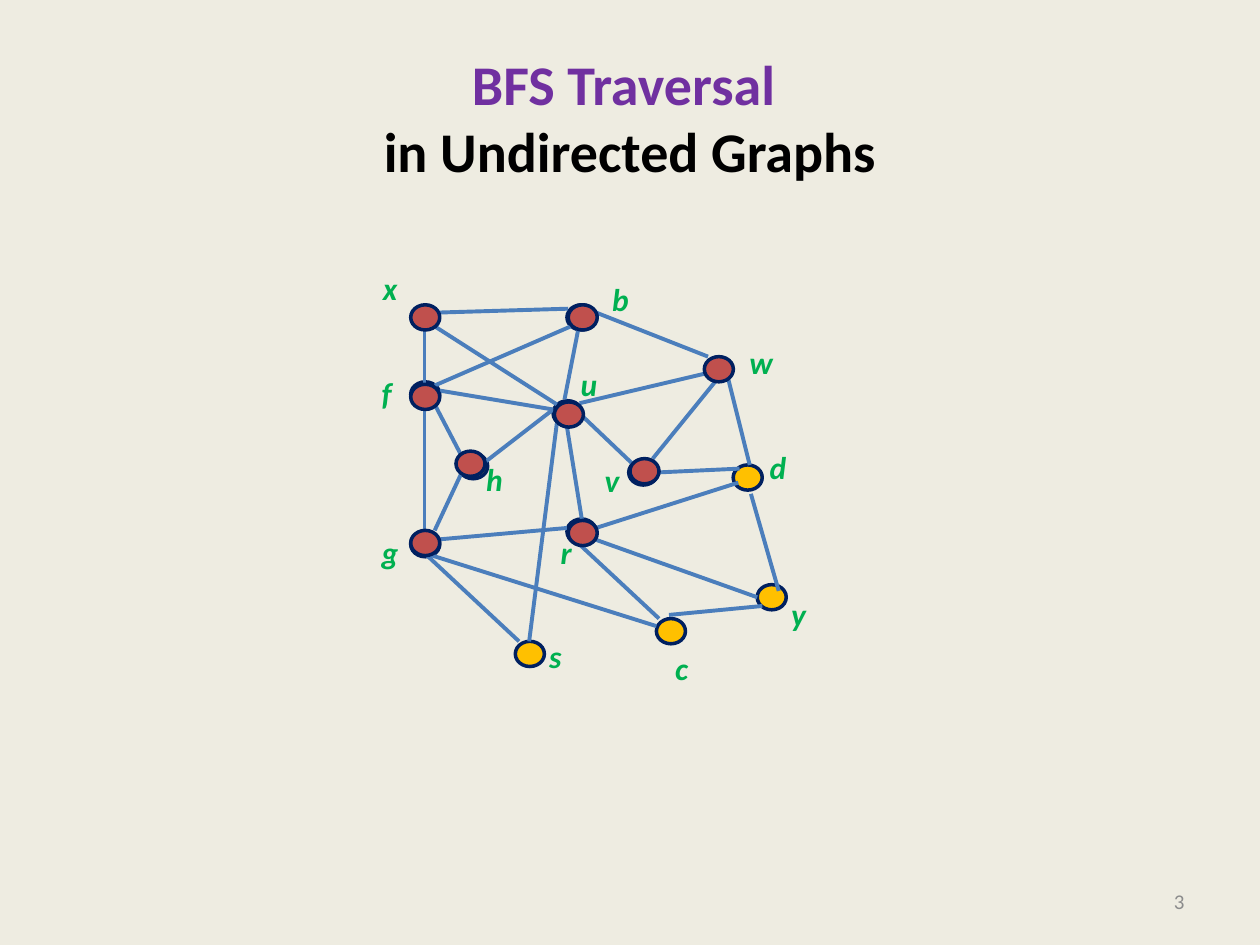
import pptx
import pptx.dml.color
import pptx.enum.shapes
import pptx.enum.text
import pptx.oxml.ns
import pptx.util
from lxml import etree

Pt = pptx.util.Pt
ALIGN = pptx.enum.text.PP_ALIGN
SHAPE = pptx.enum.shapes.MSO_SHAPE
STRAIGHT = pptx.enum.shapes.MSO_CONNECTOR.STRAIGHT

NODE_W, NODE_H = 16.6, 14.4
LABEL_H = 29
LABEL_FORMAT = {"name": "Calibri", "size": Pt(18), "bold": True, "italic": True}
TITLE_FORMAT = {"name": "Calibri", "size": Pt(32), "bold": True}
NUMBER_FORMAT = {"name": "Calibri", "size": Pt(12)}

# All graph positions are points from the top left of the graph's box.
# Every node but x and w starts as an unvisited marker: left, top
UNVISITED = {
    "f": (24.7, 68.2), "h": (52.1, 109.2), "g": (24.7, 153.8),
    "u": (106.1, 79), "r": (114, 146.6), "s": (84.5, 216.5),
    "y": (222.7, 184.1), "v": (149.3, 112.8), "c": (165.1, 203.5),
    "b": (114, 24.2), "d": (209, 115.7),
}
VISITED = {
    "x": (24.7, 24.2), "f": (24.7, 69.6), "b": (114.7, 24.2),
    "u": (106.8, 79.7), "h": (50.6, 107.8), "w": (192.5, 53.8),
    "v": (150, 112.1), "r": (114.7, 147.4), "g": (24.7, 153.1),
}
# Edge ends: x1, y1, x2, y2
EDGES = {
    "g-r": (41.3, 158.2, 114, 151.7), "f-u": (41.3, 73.2, 106.1, 84),
    "x-b": (41.3, 28.6, 114.7, 26.4), "x-f": (32.6, 39.4, 32.6, 68.9),
    "u-w": (121.2, 80.4, 194.6, 63.1), "s-g": (86.6, 216.5, 32.6, 166.1),
    "f-g": (32.6, 81.8, 32.6, 153.1), "u-r": (114, 94.1, 122.6, 147.4),
    "b-w": (130.6, 28.6, 194.6, 53.8), "d-w": (218.4, 115.7, 206.2, 66.7),
    "r-d": (130.6, 151.7, 211.9, 125.8), "c-y": (172.3, 201.4, 225.6, 196.3),
    "f-h": (38.4, 81.1, 54.2, 111.4), "d-y": (219.1, 132.2, 235, 187.7),
    "u-s": (108.2, 91.9, 92.4, 216.5), "r-c": (121.9, 161.8, 166.6, 203.5),
    "v-d": (165.1, 120, 212.6, 117.8), "u-h": (106.1, 84, 67.9, 113.5),
    "g-h": (38.4, 153.1, 54.2, 119.3), "v-w": (163, 112.1, 200.4, 66),
    "g-c": (32.6, 166.1, 165.1, 207.8), "b-u": (120.5, 37.9, 112.6, 78.2),
    "y-r": (222.7, 191.3, 129.8, 158.2), "x-u": (38.4, 36.5, 108.2, 81.1),
    "b-f": (116.2, 36.5, 38.4, 70.3), "u-v": (121.9, 86.9, 151.4, 115),
}
# Label boxes: left, top, width
LABELS = {
    "y": (235, 186.2, 23), "b": (132.7, 6.2, 24.5), "c": (168.7, 217.2, 22.3),
    "d": (222.7, 102.7, 24.5), "x": (1.7, 0, 23), "f": (1, 60.2, 20.2),
    "g": (1, 151, 24.5), "h": (60.7, 109.2, 24.5), "u": (114.7, 55.2, 24.5),
    "w": (211.2, 42.2, 28), "v": (128.4, 109.9, 23), "r": (103.2, 151, 20.9),
    "s": (96.7, 210.7, 21.6),
}


def rgb(color):
    return pptx.dml.color.RGBColor.from_string(color)


def add_run(p, text, color, formats):
    r = p.add_run()
    r.text = text
    r.font.color.rgb = rgb(color)
    for name, value in formats.items():
        setattr(r.font, name, value)


def place(sp, box):
    for name, value in zip(("left", "top", "width", "height"), box):
        setattr(sp, name, Pt(value))


def add_title(s, box):
    sp = s.shapes.title
    place(sp, box)
    tf = sp.text_frame
    tf.vertical_anchor = pptx.enum.text.MSO_ANCHOR.MIDDLE
    p = tf.paragraphs[0]
    p.alignment = ALIGN.CENTER
    add_run(p, "BFS Traversal ", "7030A0", TITLE_FORMAT)
    p.add_line_break()
    add_run(p, "in Undirected Graphs", "000000", TITLE_FORMAT)


def add_slide_number(s, box):
    tf = s.shapes.add_textbox(*map(Pt, box)).text_frame
    tf.word_wrap = True
    tf.vertical_anchor = pptx.enum.text.MSO_ANCHOR.MIDDLE
    p = tf.paragraphs[0]
    p.alignment = ALIGN.RIGHT
    add_run(p, "3", "8C8C8C", NUMBER_FORMAT)


def add_nodes(shapes, nodes, origin, fill):
    left, top = origin
    for x, y in nodes.values():
        sp = shapes.add_shape(SHAPE.OVAL, Pt(left + x), Pt(top + y), Pt(NODE_W), Pt(NODE_H))
        sp.shadow.inherit = False
        sp.fill.solid()
        sp.fill.fore_color.rgb = rgb(fill)
        sp.line.color.rgb = rgb("002060")
        sp.line.width = Pt(2)


def add_edges(shapes, origin):
    left, top = origin
    for x1, y1, x2, y2 in EDGES.values():
        line = shapes.add_connector(STRAIGHT, Pt(left + x1), Pt(top + y1),
                                    Pt(left + x2), Pt(top + y2))
        line.line.color.rgb = rgb("4B7EBC")
        line.line.width = Pt(2.25)
        etree.SubElement(line._element.spPr, pptx.oxml.ns.qn("a:effectLst"))


def add_labels(shapes, origin):
    left, top = origin
    for text, (x, y, width) in LABELS.items():
        sp = shapes.add_textbox(Pt(left + x), Pt(top + y), Pt(width), Pt(LABEL_H))
        tf = sp.text_frame
        tf.word_wrap = False
        tf.auto_size = pptx.enum.text.MSO_AUTO_SIZE.SHAPE_TO_FIT_TEXT
        add_run(tf.paragraphs[0], text, "00B050", LABEL_FORMAT)


def add_graph(s, origin):
    # The whole graph is one group
    group = s.shapes.add_group_shape()
    add_nodes(group.shapes, UNVISITED, origin, "FFC000")
    add_edges(group.shapes, origin)
    add_labels(group.shapes, origin)
    # Visited nodes lie over it
    add_nodes(s.shapes, VISITED, origin, "C0504D")


def main():
    prs = pptx.Presentation()
    prs.slide_width, prs.slide_height = Pt(720), Pt(540)
    s = prs.slides.add_slide(prs.slide_layouts[5])
    s.background.fill.solid()
    s.background.fill.fore_color.rgb = rgb("EEECE1")
    add_title(s, (36, 21.6, 648, 90))
    add_slide_number(s, (516, 500.5, 168, 28.75))
    add_graph(s, (210, 150))
    prs.save("out.pptx")


if __name__ == "__main__":
    main()
